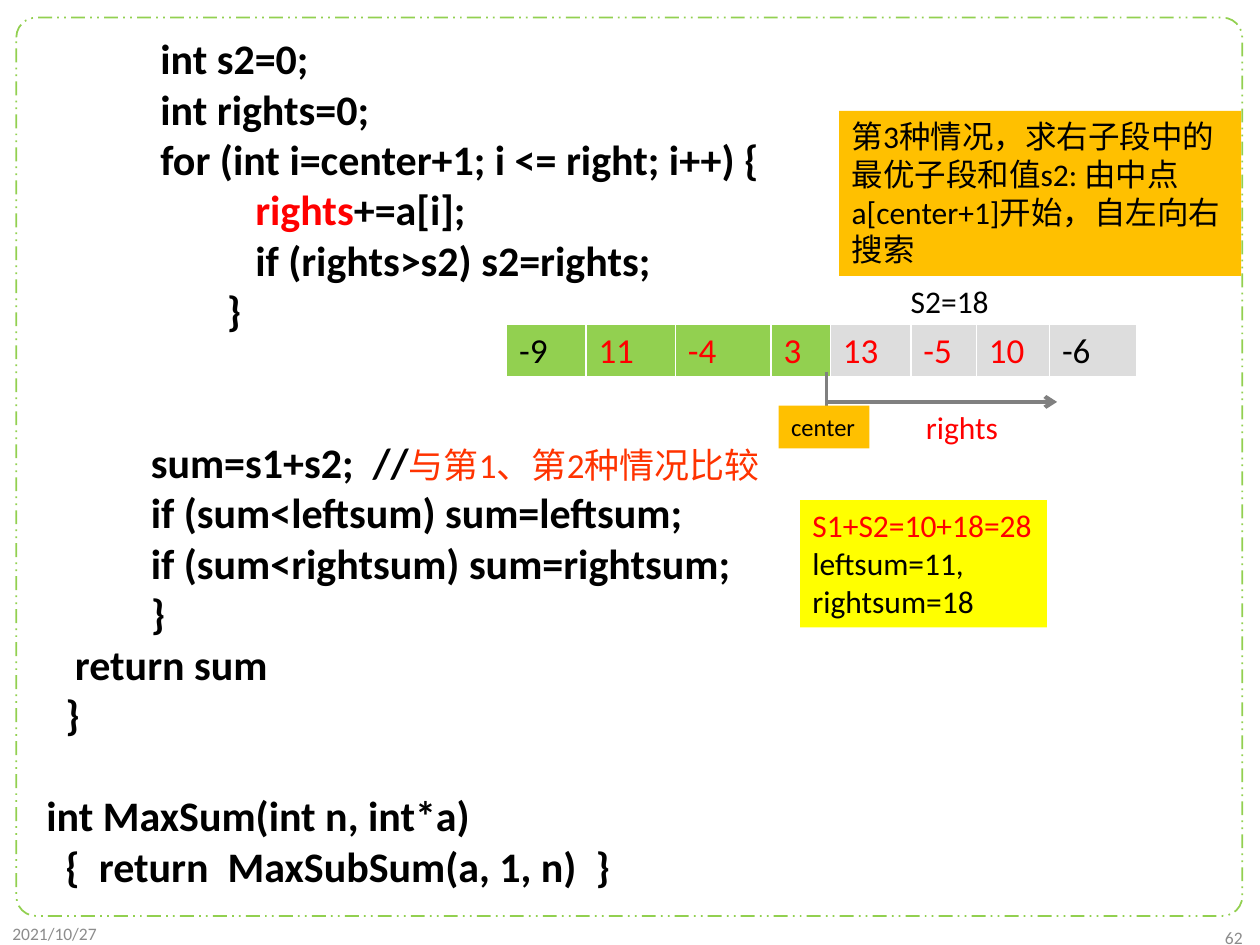
from dataclasses import dataclass

from lxml import etree
from pptx import Presentation
from pptx.dml.color import RGBColor
from pptx.enum.dml import MSO_LINE
from pptx.enum.shapes import MSO_CONNECTOR, MSO_SHAPE
from pptx.enum.text import MSO_ANCHOR, MSO_AUTO_SIZE, PP_ALIGN
from pptx.oxml.ns import qn
from pptx.util import Inches, Pt

ROUNDED, RECT = MSO_SHAPE.ROUNDED_RECTANGLE, MSO_SHAPE.RECTANGLE
STRAIGHT = MSO_CONNECTOR.STRAIGHT
DASH = MSO_LINE.DASH_DOT_DOT
TOP, MIDDLE = MSO_ANCHOR.TOP, MSO_ANCHOR.MIDDLE
LEFT, RIGHT = PP_ALIGN.LEFT, PP_ALIGN.RIGHT
FIT = MSO_AUTO_SIZE.SHAPE_TO_FIT_TEXT


@dataclass(frozen=True)
class Theme:
    """Font, colours and type sizes of the slide."""
    font: str = "Calibri"
    black: str = "000000"
    white: str = "FFFFFF"
    red: str = "FF0000"
    remark: str = "FF3300"
    green: str = "92D050"
    light: str = "DDDDDD"
    grey: str = "808080"
    muted: str = "8C8C8C"
    amber: str = "FFC000"
    yellow: str = "FFFF00"
    code: int = 24
    cell: int = 20
    note: int = 18
    tag: int = 14
    footer: int = 10


T = Theme()
CODE_LINES = [
    "            int s2=0;",
    "            int rights=0;",
    "            for (int i=center+1; i <= right; i++) {",
    "                      rights+=a[i];",
    "                      if (rights>s2) s2=rights;",
    "                   }",
    "           sum=s1+s2;  //",
    "           if (sum<leftsum) sum=leftsum;",
    "           if (sum<rightsum) sum=rightsum;",
    "           }",
    "   return sum",
    "  }",
    "int MaxSum(int n, int*a)",
    "  {  return  MaxSubSum(a, 1, n)  }",
]
GAPS_BEFORE = {6: 58, 12: 29}
RIGHTS_LINE, SUM_LINE = 3, 6
VALUES = ["-9", "11", "-4", "3", "13", "-5", "10", "-6"]
COL_WIDTHS = [0.63, 0.71, 0.76, 0.47, 0.64, 0.52, 0.58, 0.69]
LEFT_HALF = 4


def rgb(color):
    """Return a colour object for a hex string."""
    return RGBColor.from_string(color)


def style_run(r, size, color, bold=False):
    """Set the font of a run."""
    r.font.name, r.font.size, r.font.bold = T.font, Pt(size), bold
    r.font.color.rgb = rgb(color)


def add_run(p, text, size, color, bold=False):
    """Append a styled run to a paragraph."""
    r = p.add_run()
    r.text = text
    style_run(r, size, color, bold)


def fill_text(sp, lines, size, wrap, align=LEFT, anchor=TOP):
    """Write (text, colour) lines into a shape."""
    tf = sp.text_frame
    tf.word_wrap, tf.vertical_anchor = wrap, anchor
    tf.text = "\n".join(text for text, _ in lines)
    for p, (_, color) in zip(tf.paragraphs, lines):
        p.alignment = align
        style_run(p.runs[0], size, color)
    return tf


def add_label(s, box, text, size, color, wrap=False, align=LEFT, anchor=TOP):
    """Add a one-line text box."""
    sp = s.shapes.add_textbox(*map(Inches, box))
    fill_text(sp, [(text, color)], size, wrap, align, anchor)


def add_note(s, box, fill, lines, size, wrap=False):
    """Add a filled note that grows with its text."""
    sp = s.shapes.add_shape(RECT, *map(Inches, box))
    sp.shadow.inherit = False
    sp.fill.solid()
    sp.fill.fore_color.rgb = rgb(fill)
    sp.line.fill.background()
    fill_text(sp, lines, size, wrap).auto_size = FIT


def add_frame(s):
    """Add the dashed rounded frame."""
    sp = s.shapes.add_shape(ROUNDED, *map(Inches, (0.13, 0.14, 9.73, 7.13)))
    sp.adjustments[0] = 0.022
    sp.shadow.inherit = False
    sp.fill.background()
    sp.line.color.rgb = rgb(T.green)
    sp.line.width, sp.line.dash_style = Pt(1), DASH


def add_code(s):
    """Add the code listing with its highlights."""
    sp = s.shapes.add_textbox(*map(Inches, (0.27, 0.21, 9.53, 7.37)))
    tf = sp.text_frame
    tf.word_wrap = True
    for i, line in enumerate(CODE_LINES):
        p = tf.add_paragraph() if i else tf.paragraphs[0]
        if i in GAPS_BEFORE:
            p.space_before = Pt(GAPS_BEFORE[i])
        if i == RIGHTS_LINE:
            indent, word, rest = line.partition("rights")
            add_run(p, indent, T.code, T.black, True)
            add_run(p, word, T.code, T.red, True)
            add_run(p, rest, T.code, T.black, True)
        else:
            add_run(p, line, T.code, T.black, True)
        if i == SUM_LINE:
            add_run(p, "与第1、第2种情况比较", T.cell, T.remark)


def add_border(cell, side, width):
    """Draw a white border on one side of a cell."""
    tc_pr = cell._tc.get_or_add_tcPr()
    ln = etree.Element(qn("a:" + side), w=str(Pt(width)))
    fill = etree.SubElement(ln, qn("a:solidFill"))
    etree.SubElement(fill, qn("a:srgbClr"), val=T.white)
    tc_pr.insert(len(tc_pr) - 1, ln)


def add_array(s):
    """Add the array as a one-row table."""
    box = map(Inches, (4.02, 2.57, sum(COL_WIDTHS), 0.41))
    table = s.shapes.add_table(1, len(VALUES), *box).table
    for i, (value, width) in enumerate(zip(VALUES, COL_WIDTHS)):
        table.columns[i].width = Inches(width)
        cell = table.cell(0, i)
        cell.fill.solid()
        cell.fill.fore_color.rgb = rgb(T.green if i < LEFT_HALF else T.light)
        for side, weight in (("lnL", 1), ("lnR", 1), ("lnT", 1), ("lnB", 3)):
            add_border(cell, side, weight)
        cell.text_frame.text = value
        at_end = i in (0, len(VALUES) - 1)
        style_run(cell.text_frame.paragraphs[0].runs[0], T.cell,
                  T.black if at_end else T.red)


def add_line(s, ends, width, arrow=False):
    """Add a grey line, with an arrowhead if wanted."""
    cn = s.shapes.add_connector(STRAIGHT, *map(Inches, ends))
    cn.line.color.rgb, cn.line.width = rgb(T.grey), Pt(width)
    if arrow:
        ln = cn._element.spPr.find(qn("a:ln"))
        etree.SubElement(ln, qn("a:tailEnd"), type="arrow")
    etree.SubElement(cn._element.spPr, qn("a:effectLst"))


def main():
    """Build and save the slide."""
    prs = Presentation()
    prs.slide_width, prs.slide_height = Inches(10), Inches(7.5)
    s = prs.slides.add_slide(prs.slide_layouts[6])
    add_frame(s)
    add_label(s, (0, 7.26, 2.25, 0.29), "2021/10/27", T.footer, T.muted,
              wrap=True, anchor=MIDDLE)
    add_label(s, (7.71, 7.31, 2.25, 0.26), "62", T.footer, T.muted,
              wrap=True, align=RIGHT, anchor=MIDDLE)
    add_code(s)
    case = "第3种情况，求右子段中的最优子段和值s2: 由中点a[center+1]开始，自左向右搜索"
    add_note(s, (6.66, 0.88, 3.19, 1.31), T.amber, [(case, T.black)], T.note, wrap=True)
    add_array(s)
    add_label(s, (7.13, 2.19, 0.83, 0.4), "S2=18", T.note, T.black)
    add_line(s, (6.56, 3.19, 8.39, 3.19), 2.25, arrow=True)
    add_line(s, (6.56, 2.95, 6.56, 3.35), 1.5)
    add_label(s, (7.25, 3.19, 0.78, 0.4), "rights", T.note, T.red)
    sums = [("S1+S2=10+18=28", T.red), ("leftsum=11,", T.black), ("rightsum=18", T.black)]
    add_note(s, (6.35, 3.97, 1.96, 1.01), T.yellow, sums, T.note)
    add_note(s, (6.18, 3.22, 0.72, 0.34), T.amber, [("center", T.black)], T.tag)
    prs.save("out.pptx")


if __name__ == "__main__":
    main()
